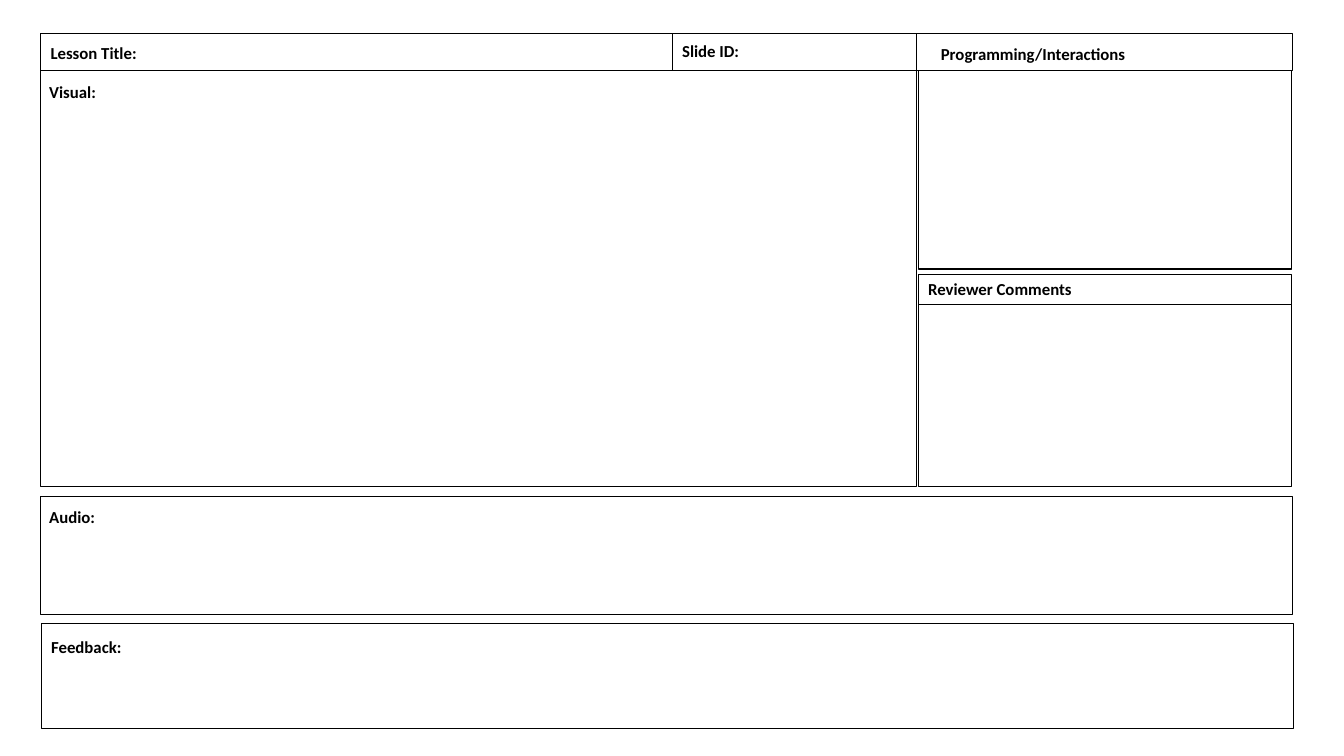
from pptx import Presentation
from pptx import util as u
from pptx.dml.color import RGBColor
from pptx.enum import shapes, text
from pptx.oxml.ns import qn
from lxml import etree

BLACK = RGBColor(0, 0, 0)
WHITE = RGBColor(255, 255, 255)

deck = Presentation()
deck.slide_width, deck.slide_height = u.Cm(33.87), u.Cm(19.05)
storyboard = deck.slides.add_slide(deck.slide_layouts[5])

left, full_width = 1.02, 31.55
side_left, side_width = 23.14, 9.4
header_top, header_height = 0.84, 0.93


def add_panel(x, y, width, height, fill=None):
    panel = storyboard.shapes.add_shape(
        shapes.MSO_SHAPE.RECTANGLE, u.Cm(x), u.Cm(y), u.Cm(width), u.Cm(height))
    panel.shadow.inherit = False
    if fill is None:
        panel.fill.background()
    else:
        panel.fill.solid()
        panel.fill.fore_color.rgb = fill
    panel.line.color.rgb = BLACK
    panel.line.width = u.Pt(0.75)
    return panel


def write_label(holder, wording, anchor=text.MSO_ANCHOR.TOP):
    frame = holder.text_frame
    frame.word_wrap = True
    frame.auto_size = text.MSO_AUTO_SIZE.NONE
    frame.vertical_anchor = anchor
    paragraph = frame.paragraphs[0]
    paragraph.alignment = text.PP_ALIGN.LEFT
    run = paragraph.add_run()
    run.text = wording
    run.font.name = "Calibri"
    run.font.size = u.Pt(12)
    run.font.bold = True
    run.font.color.rgb = BLACK


for x, y, width, height, fill in [
    (side_left, 7.67, side_width, 4.6, None),
    (left, header_top, 22.07, 11.43, WHITE),
    (1.04, 15.72, full_width, 2.64, WHITE),
    (left, header_top, full_width, header_height, None),
    (left, 12.52, full_width, 2.97, WHITE),
    (side_left, 1.78, side_width, 5.0, None),
]:
    add_panel(x, y, width, height, fill)

reviewer_header = add_panel(side_left, 6.91, side_width, 0.76)
write_label(reviewer_header, "Reviewer Comments", text.MSO_ANCHOR.MIDDLE)

divider = storyboard.shapes.add_connector(
    shapes.MSO_CONNECTOR.STRAIGHT,
    u.Cm(16.94), u.Cm(header_top + header_height), u.Cm(16.94), u.Cm(header_top))
divider.line.color.rgb = BLACK
divider.line.width = u.Pt(0.75)
etree.SubElement(divider._element.spPr, qn("a:effectLst"))

lesson_title = storyboard.shapes.title
lesson_title.left, lesson_title.top = u.Cm(left), u.Cm(0.94)
lesson_title.width, lesson_title.height = u.Cm(15.72), u.Cm(0.77)
write_label(lesson_title, "Lesson Title:")
storyboard.shapes._spTree.append(lesson_title._element)

for wording, x, y, width, height, anchor in [
    ("Slide ID:", 16.94, 0.91, 6.07, 0.77, text.MSO_ANCHOR.TOP),
    ("Programming/Interactions", 23.46, 1.04, 5.72, 0.64, text.MSO_ANCHOR.MIDDLE),
    ("Visual:", 0.99, 1.93, 3.02, 0.77, text.MSO_ANCHOR.TOP),
    ("Audio:", 0.99, 12.65, 31.39, 2.82, text.MSO_ANCHOR.TOP),
    ("Feedback:", 1.04, 15.92, 31.5, 2.42, text.MSO_ANCHOR.TOP),
]:
    label = storyboard.shapes.add_textbox(u.Cm(x), u.Cm(y), u.Cm(width), u.Cm(height))
    write_label(label, wording, anchor)

deck.save("out.pptx")
